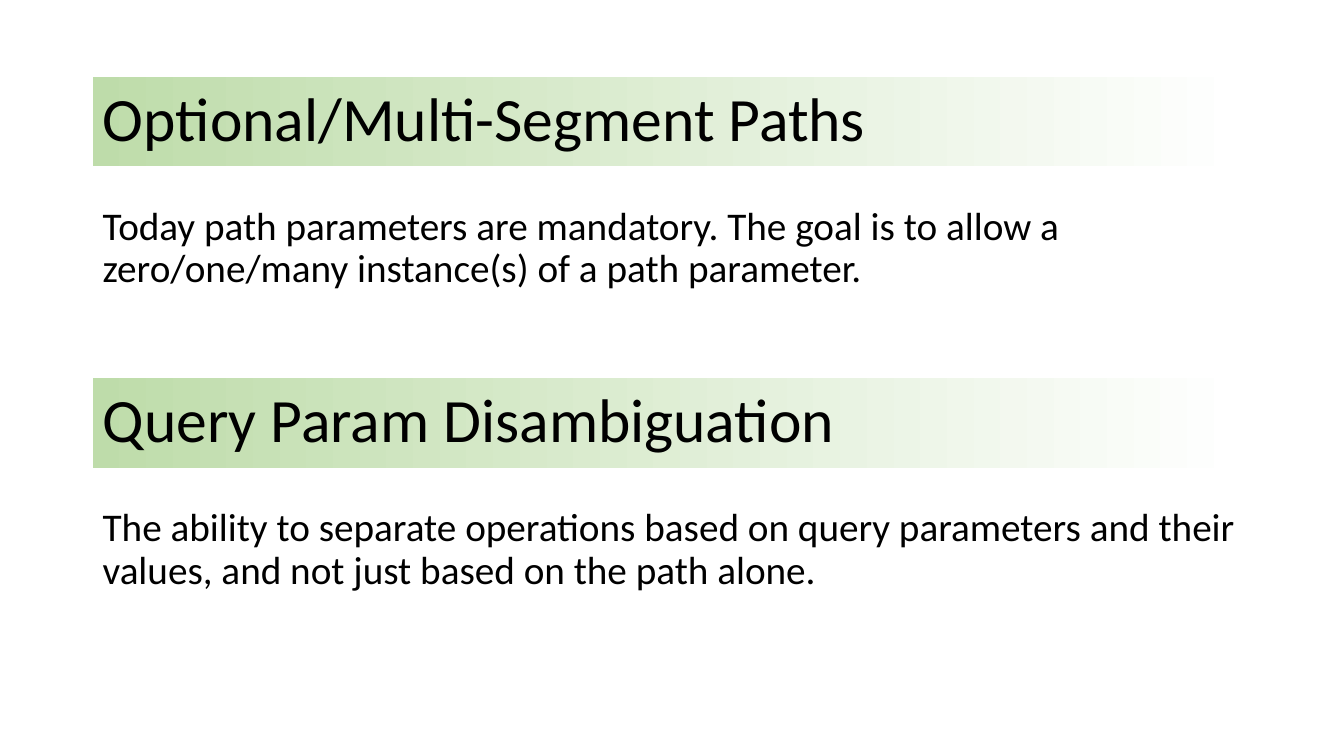
"""Build a slide with two headed topics on API path and query parameters."""
from pptx import Presentation
from pptx.dml.color import RGBColor
from pptx.enum.text import MSO_ANCHOR as ANCHOR, MSO_AUTO_SIZE as AUTO, PP_ALIGN as ALIGN
from pptx.util import Inches, Pt

TOPICS = [
    ("Optional/Multi-Segment Paths",
     "Today path parameters are mandatory. The goal is to allow a "
     "zero/one/many instance(s) of a path parameter."),
    ("Query Param Disambiguation",
     "The ability to separate operations based on query parameters and their "
     "values, and not just based on the path alone."),
]
LEFT, TOP, WIDTH = 0.92, 0.76, 11.5
HEADING_H, BODY_H = 0.89, 1.75
BODY_OFFSET, TOPIC_STEP = 1.24, 2.99
GRADIENT = [(0, "BEDCAA"), (0.99, "FFFFFF")]
HEADING = {"size": Pt(44), "space_before": Pt(0), "anchor": ANCHOR.MIDDLE}
BODY = {"size": Pt(28), "space_before": Pt(10), "anchor": ANCHOR.TOP}


def rgb(value):
    return RGBColor.from_string(value)


def set_all(target, values):
    for name, value in values.items():
        setattr(target, name, value)


def place(sp, top, height):
    set_all(sp, {"left": Inches(LEFT), "top": Inches(top),
                 "width": Inches(WIDTH), "height": Inches(height)})


def write(sp, text, style):
    tf = sp.text_frame
    set_all(tf, {"word_wrap": True, "auto_size": AUTO.NONE,
                 "vertical_anchor": style["anchor"]})
    p = tf.paragraphs[0]
    set_all(p, {"alignment": ALIGN.LEFT, "line_spacing": 0.9,
                "space_before": style["space_before"]})
    r = p.add_run()
    r.text = text
    set_all(r.font, {"name": "Calibri", "size": style["size"]})
    r.font.color.rgb = rgb("000000")


def shade(sp):
    sp.fill.gradient()
    sp.fill.gradient_angle = 0
    for stop, (position, color) in zip(sp.fill.gradient_stops, GRADIENT):
        stop.position = position
        stop.color.rgb = rgb(color)


def main():
    prs = Presentation()
    set_all(prs, {"slide_width": Inches(13.33), "slide_height": Inches(7.5)})
    s = prs.slides.add_slide(prs.slide_layouts[5])
    for i, (heading, body) in enumerate(TOPICS):
        top = TOP + i * TOPIC_STEP
        sp = s.shapes.add_textbox(0, 0, 0, 0) if i else s.shapes.title
        place(sp, top, HEADING_H)
        shade(sp)
        write(sp, heading, HEADING)
        sp = s.shapes.add_textbox(0, 0, 0, 0)
        place(sp, top + BODY_OFFSET, BODY_H)
        write(sp, body, BODY)
    prs.save("out.pptx")


if __name__ == "__main__":
    main()
